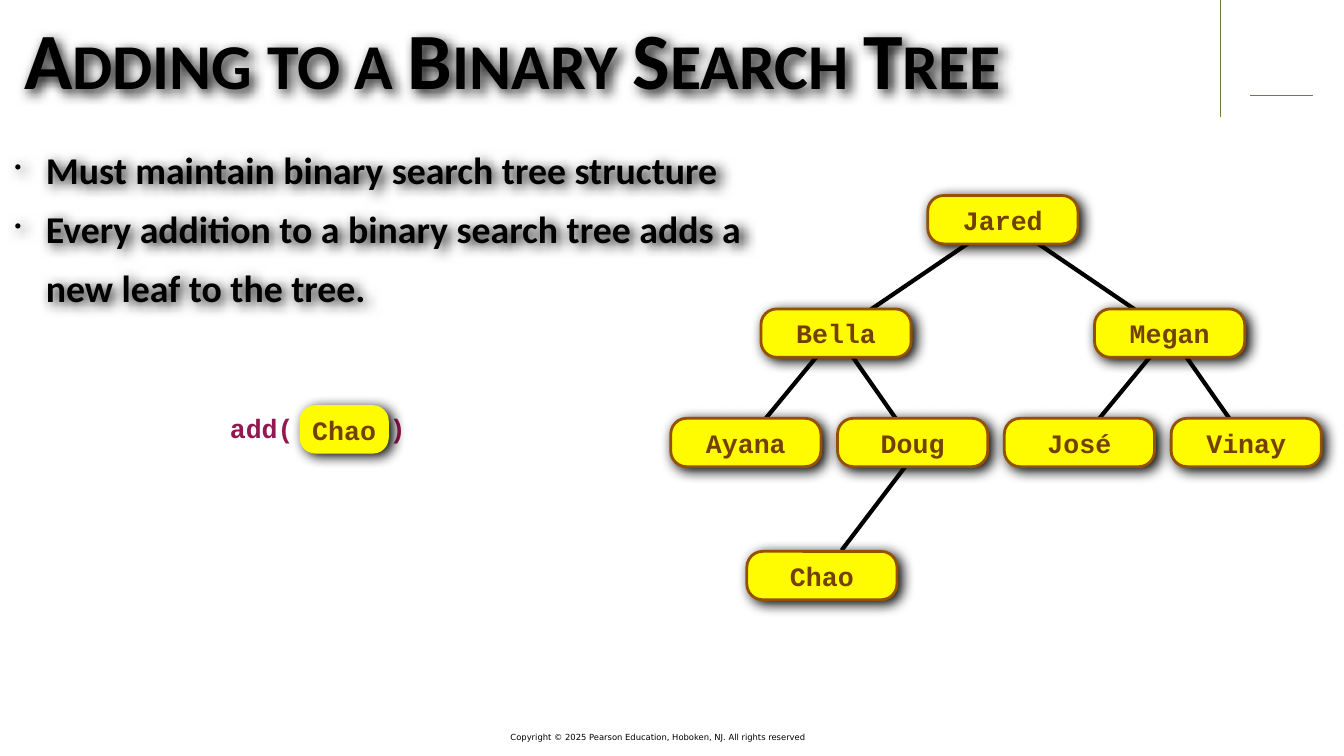
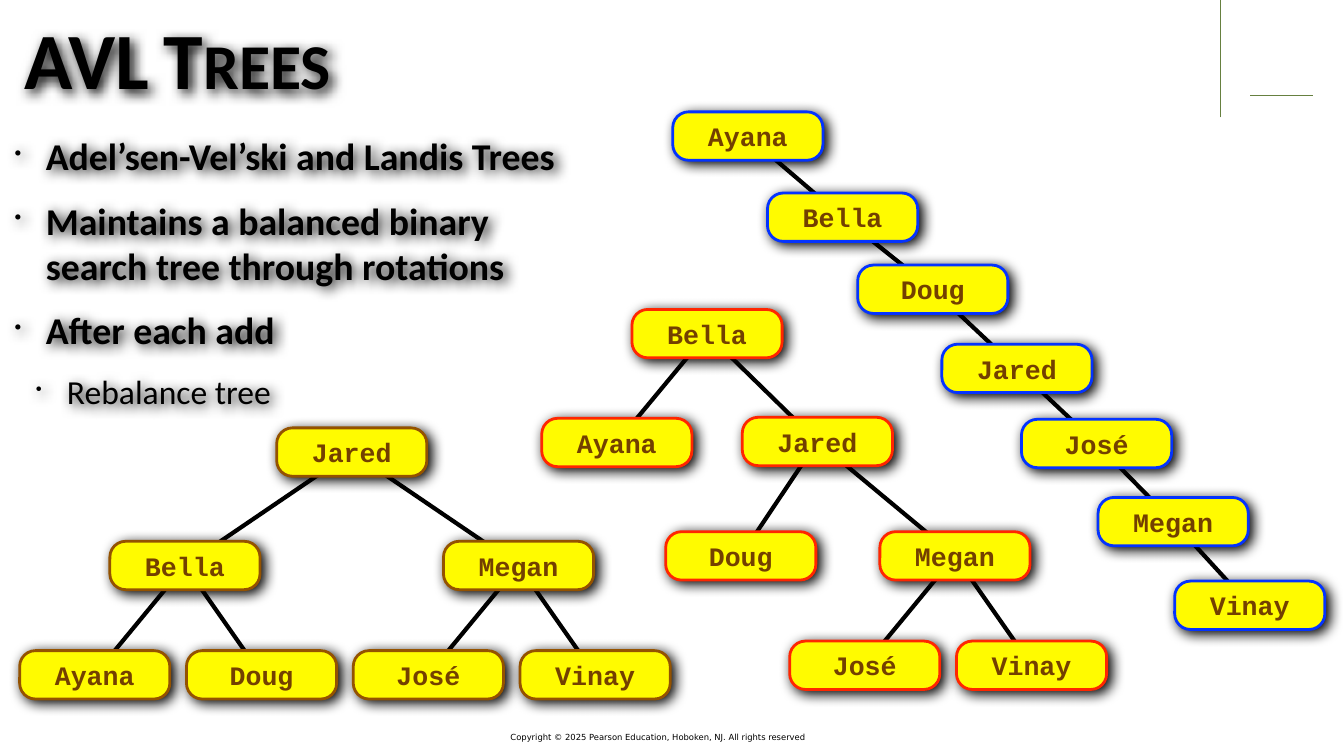
from dataclasses import dataclass

from lxml import etree
from pptx import Presentation
from pptx.dml.color import RGBColor
from pptx.enum.shapes import MSO_CONNECTOR, MSO_SHAPE
from pptx.enum.text import MSO_ANCHOR, MSO_AUTO_SIZE, PP_ALIGN
from pptx.oxml.ns import qn
from pptx.util import Inches, Pt


@dataclass(frozen=True)
class Theme:
    width: float = 26.67
    height: float = 15
    ink: str = "000000"
    rule: str = "668040"
    node_fill: str = "FFFB00"
    node_ink: str = "734000"
    code_ink: str = "941751"
    brown: str = "945200"
    blue: str = "0433FF"
    red: str = "FF2600"
    heading_font: str = "Calibri"
    code_font: str = "Courier New"
    footer_font: str = "DejaVu Sans"
    title_size: int = 114
    body_sizes: tuple = (54, 48)
    node_size: int = 38
    footer_size: int = 12
    node_width: float = 2.98
    node_height: float = 0.96
    inset: float = 0.08


THEME = Theme()
COPYRIGHT = "Copyright © 2025 Pearson Education, Hoboken, NJ. All rights reserved"
CORNER_RULES = [(24.81, 1.9, 26.06, 1.9), (24.21, 2.33, 24.21, 0)]

# A tree is (name, [(dx, dy, subtree), ...]); offsets run between node centres.
LEFT, RIGHT, DROP = -1.79, 1.52, 2.17


def leaf(name):
    return name, []


def pair(name, left, right):
    return name, [(LEFT, DROP, leaf(left)), (RIGHT, DROP, leaf(right))]


def chain(names, steps):
    """Tree in which every node has a single child."""
    if not steps:
        return leaf(names[0])
    return names[0], [(*steps[0], chain(names[1:], steps[1:]))]


BALANCED = ("Jared", [(-3.31, 2.25, pair("Bella", "Ayana", "Doug")),
                      (3.31, 2.25, pair("Megan", "José", "Vinay"))])
ROTATED = ("Bella", [
    (LEFT, 2.16, leaf("Ayana")),
    (2.19, 2.14, ("Jared", [(-1.52, 2.27, leaf("Doug")),
                            (2.73, 2.27, pair("Megan", "José", "Vinay"))])),
])
SORTED_CHAIN = chain(
    ["Ayana", "Bella", "Doug", "Jared", "José", "Megan", "Vinay"],
    [(1.88, 1.61), (1.79, 1.43), (1.67, 1.57), (1.58, 1.49), (1.52, 1.55), (1.52, 1.66)])

SLIDES = [
    {
        "title": "Adding to a Binary Search Tree",
        "points": [(0, "Must maintain binary search tree structure"),
                   (0, "Every addition to a binary search tree adds a new leaf to the tree.")],
        "points_size": (14.91, 4.16),
        "line_spacing": 1.3,
        "space_before": 0,
        "new_edge": (18.29, 8.83, 16.7, 10.92),
        "call": ("add(\t)", "Chao"),
        "trees": [(BALANCED, 19.9, 4.36, THEME.brown),
                  (leaf("Chao"), 16.31, 11.42, THEME.brown)],
    },
    {
        "title": "AVL Trees",
        "points": [(0, "Adel’sen-Vel’ski and Landis Trees"),
                   (0, "Maintains a balanced binary search tree through rotations"),
                   (0, "After each add"),
                   (1, "Rebalance tree")],
        "points_size": (11.6, 12.38),
        "line_spacing": 1,
        "space_before": 27,
        "trees": [(BALANCED, 6.98, 8.97, THEME.brown),
                  (SORTED_CHAIN, 14.84, 2.7, THEME.blue),
                  (ROTATED, 14.03, 6.62, THEME.red)],
    },
]


def rgb(value):
    return RGBColor.from_string(value)


def style(paragraph, font, size, color, bold=True):
    paragraph.font.name = font
    paragraph.font.size = Pt(size)
    paragraph.font.bold = bold
    paragraph.font.color.rgb = rgb(color)


def frame(shape, anchor, inset=THEME.inset, wrap=True):
    text = shape.text_frame
    text.word_wrap = wrap
    text.auto_size = MSO_AUTO_SIZE.NONE
    text.vertical_anchor = anchor
    text.margin_left = text.margin_right = Inches(inset)
    text.margin_top = text.margin_bottom = Inches(inset)
    return text


def cast_shadow(shape):
    shape.shadow.inherit = False
    effects = shape._element.spPr.find(qn("a:effectLst"))
    outer = etree.SubElement(effects, qn("a:outerShdw"), blurRad=str(Pt(19)),
                             dist=str(Pt(7)), dir=str(36 * 60000), rotWithShape="0")
    etree.SubElement(outer, qn("a:srgbClr"), val=THEME.ink)


def add_line(slide, ends, color=THEME.ink, width=6):
    line = slide.shapes.add_connector(MSO_CONNECTOR.STRAIGHT, *map(Inches, ends))
    line.line.color.rgb = rgb(color)
    line.line.width = Pt(width)
    etree.SubElement(line._element.spPr, qn("a:effectLst"))


def add_node(slide, name, x, y, outline=None, width=THEME.node_width):
    """Rounded box centred on (x, y)."""
    height = THEME.node_height
    node = slide.shapes.add_shape(MSO_SHAPE.ROUNDED_RECTANGLE, Inches(x - width / 2),
                                  Inches(y - height / 2), Inches(width), Inches(height))
    node.adjustments[0] = 0.326
    node.fill.solid()
    node.fill.fore_color.rgb = rgb(THEME.node_fill)
    if outline:
        node.line.color.rgb = rgb(outline)
        node.line.width = Pt(4)
    else:
        node.line.fill.background()
    cast_shadow(node)
    text = frame(node, MSO_ANCHOR.MIDDLE)
    text.text = name
    text.paragraphs[0].alignment = PP_ALIGN.CENTER
    style(text.paragraphs[0], THEME.code_font, THEME.node_size, THEME.node_ink)


def add_tree(slide, tree, x, y, outline):
    name, children = tree
    for dx, dy, _ in children:
        add_line(slide, (x, y, x + dx, y + dy))
    add_node(slide, name, x, y, outline)
    for dx, dy, child in children:
        add_tree(slide, child, x + dx, y + dy, outline)


def add_call(slide, code, argument):
    """Method call whose argument is a node set over the gap in the code."""
    box = slide.shapes.add_textbox(Inches(4.48), Inches(8.01), Inches(4.21),
                                   Inches(THEME.node_height))
    text = frame(box, MSO_ANCHOR.MIDDLE)
    text.text = code
    tabs = etree.SubElement(text.paragraphs[0]._p.get_or_add_pPr(), qn("a:tabLst"))
    etree.SubElement(tabs, qn("a:tab"), pos=str(Inches(3.17)), algn="l")
    style(text.paragraphs[0], THEME.code_font, THEME.node_size, THEME.code_ink)
    add_node(slide, argument, 6.83, 8.52, width=1.77)


def add_title(slide, title):
    holder = slide.shapes.title
    holder.left, holder.top = Inches(0.4), 0
    holder.width, holder.height = Inches(24.02), Inches(2.29)
    text = frame(holder, MSO_ANCHOR.MIDDLE)
    text.text = title
    heading = text.paragraphs[0]
    heading.alignment = PP_ALIGN.LEFT
    style(heading, THEME.heading_font, THEME.title_size, THEME.ink)
    heading.runs[0]._r.get_or_add_rPr().set("cap", "small")
    cast_shadow(holder)


def add_points(slide, points, size, line_spacing, space_before):
    box = slide.shapes.add_textbox(Inches(0.21), Inches(2.56), *map(Inches, size))
    text = frame(box, MSO_ANCHOR.TOP)
    for index, (level, words) in enumerate(points):
        point = text.add_paragraph() if index else text.paragraphs[0]
        point.text = words
        point.level = level
        point.line_spacing = line_spacing
        if index:
            point.space_before = Pt(space_before)
        properties = point._p.get_or_add_pPr()
        properties.set("marL", str(Inches(0.62 + 0.42 * level)))
        properties.set("indent", str(Inches(-0.62)))
        etree.SubElement(properties, qn("a:buSzPct"), val="53000")
        etree.SubElement(properties, qn("a:buChar"), char="•")
        style(point, THEME.heading_font, THEME.body_sizes[level], THEME.ink, bold=level == 0)
    cast_shadow(box)


def add_furniture(slide):
    """Corner rules and copyright line found on every slide."""
    for ends in CORNER_RULES:
        add_line(slide, ends, THEME.rule, 1)
    footer = slide.shapes.add_textbox(Inches(10.13), Inches(14.51), Inches(6.77), Inches(0.24))
    text = frame(footer, MSO_ANCHOR.MIDDLE, inset=0, wrap=False)
    text.text = COPYRIGHT
    style(text.paragraphs[0], THEME.footer_font, THEME.footer_size, THEME.ink, bold=False)


def main():
    deck = Presentation()
    deck.slide_width, deck.slide_height = Inches(THEME.width), Inches(THEME.height)
    title_only = deck.slide_layouts[5]
    for content in SLIDES:
        slide = deck.slides.add_slide(title_only)
        add_furniture(slide)
        add_title(slide, content["title"])
        add_points(slide, content["points"], content["points_size"],
                   content["line_spacing"], content["space_before"])
        if "new_edge" in content:
            add_line(slide, content["new_edge"])
        for tree in content["trees"]:
            add_tree(slide, *tree)
        if "call" in content:
            add_call(slide, *content["call"])
    deck.save("out.pptx")


if __name__ == "__main__":
    main()
